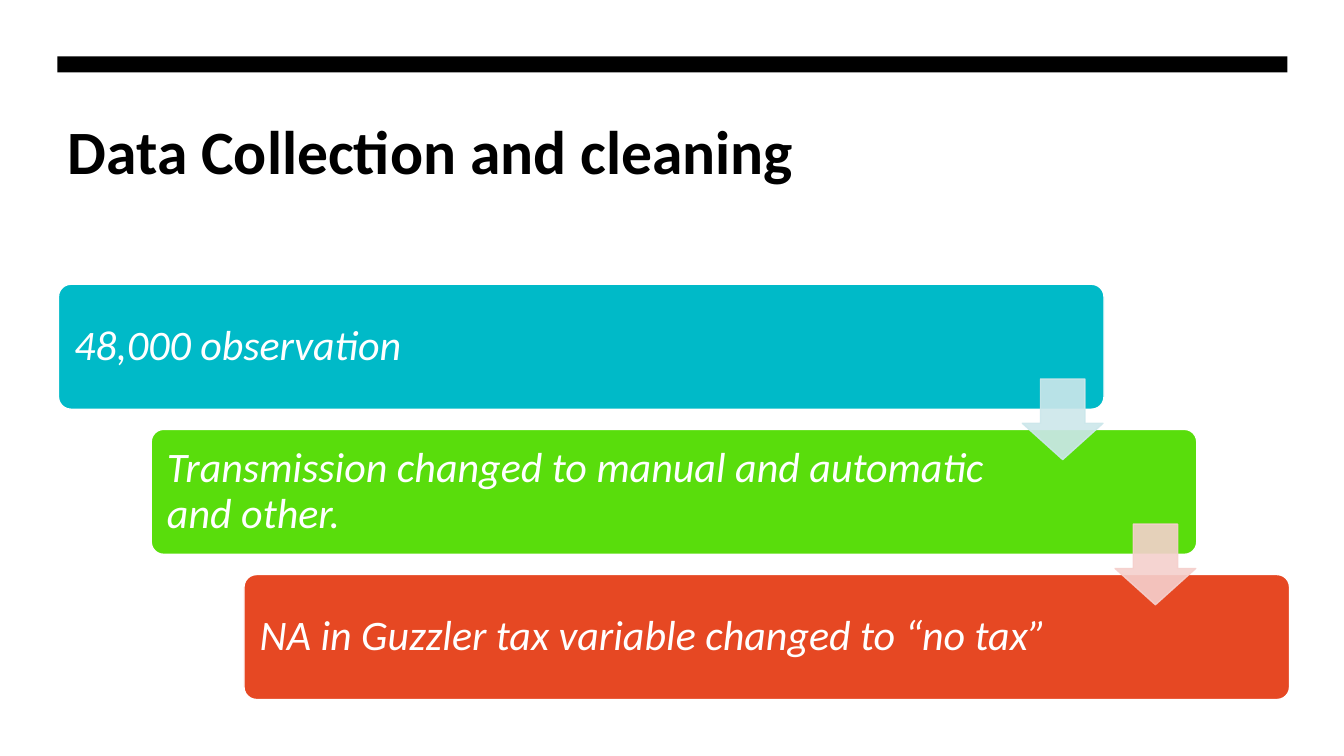
"""Build the data collection and cleaning slide as a staircase of three steps."""
from dataclasses import dataclass

from lxml.etree import SubElement
from pptx import Presentation
from pptx.dml.color import RGBColor
from pptx.enum.shapes import MSO_SHAPE
from pptx.enum.text import MSO_ANCHOR, PP_ALIGN
from pptx.oxml.ns import qn
from pptx.shapes.autoshape import Shape
from pptx.slide import Slide
from pptx.text.text import TextFrame
from pptx.util import Emu, Pt

EMU_PER_PX = 9144
FONT = "Calibri"
COLOURS = {
    "white": "FFFFFF",
    "black": "000000",
    "teal": "00BAC8",
    "green": "59DD0C",
    "red": "E64823",
    "pale_teal": "CCE7EB",
    "pale_red": "F5D0CD",
}
STEP_RIGHT, STEP_DOWN = 92, 144


@dataclass(frozen=True)
class Box:
    left: int
    top: int
    width: int
    height: int

    def stepped(self, count: int) -> "Box":
        return Box(self.left + count * STEP_RIGHT, self.top + count * STEP_DOWN,
                   self.width, self.height)

    def emu(self) -> tuple[Emu, Emu, Emu, Emu]:
        return px(self.left), px(self.top), px(self.width), px(self.height)


@dataclass(frozen=True)
class Step:
    wording: str
    colour: str


FIRST_STEP = Box(58, 282, 1037, 124)
FIRST_ARROW = Box(1014, 376, 80, 80)
STEPS = (
    Step("48,000 observation", "teal"),
    Step("Transmission changed to manual and automatic and other.", "green"),
    Step("NA in Guzzler tax variable changed to “no tax”", "red"),
)
ARROW_COLOURS = ("pale_teal", "pale_red")


def px(length: int) -> Emu:
    return Emu(length * EMU_PER_PX)


def rgb(name: str) -> RGBColor:
    return RGBColor.from_string(COLOURS[name])


def add_filled(slide: Slide, preset: MSO_SHAPE, box: Box, fill: str,
               outline: str | None = None) -> Shape:
    shape = slide.shapes.add_shape(preset, *box.emu())
    shape.shadow.inherit = False
    shape.fill.solid()
    shape.fill.fore_color.rgb = rgb(fill)
    if outline:
        shape.line.color.rgb = rgb(outline)
        shape.line.width = Pt(1)
    else:
        shape.line.fill.background()
    return shape


def write(frame: TextFrame, wording: str, size: int, colour: str,
          bold: bool = False, italic: bool = False) -> None:
    frame.text = wording
    frame.word_wrap = True
    paragraph = frame.paragraphs[0]
    paragraph.alignment = PP_ALIGN.LEFT
    paragraph.font.name = FONT
    paragraph.font.size = Pt(size)
    paragraph.font.bold = bold
    paragraph.font.italic = italic
    paragraph.font.color.rgb = rgb(colour)


def add_title(slide: Slide) -> None:
    title = slide.shapes.title
    title.left, title.top, title.width, title.height = Box(57, 107, 1220, 160).emu()
    write(title.text_frame, "Data Collection and cleaning", 44, "black", bold=True)
    title.text_frame.vertical_anchor = MSO_ANCHOR.TOP


def add_step(slide: Slide, step: Step, box: Box) -> None:
    bar = add_filled(slide, MSO_SHAPE.ROUNDED_RECTANGLE, box, step.colour, "white")
    bar.adjustments[0] = 0.1
    frame = bar.text_frame
    write(frame, step.wording, 30, "white", italic=True)
    frame.paragraphs[0].line_spacing = 0.9
    frame.vertical_anchor = MSO_ANCHOR.MIDDLE
    frame.margin_left = frame.margin_top = frame.margin_bottom = px(12)
    frame.margin_right = px(183)


def add_arrow(slide: Slide, colour: str, box: Box) -> None:
    arrow = add_filled(slide, MSO_SHAPE.DOWN_ARROW, box, colour, colour)
    arrow.adjustments[0] = 0.55
    arrow.adjustments[1] = 0.45
    for solid_colour in arrow.element.spPr.iter(qn("a:srgbClr")):
        SubElement(solid_colour, qn("a:alpha"), val="90000")


def main() -> None:
    presentation = Presentation()
    presentation.slide_width, presentation.slide_height = px(1333), px(750)
    slide = presentation.slides.add_slide(presentation.slide_layouts[5])
    slide.background.fill.solid()
    slide.background.fill.fore_color.rgb = rgb("white")
    add_title(slide)
    add_filled(slide, MSO_SHAPE.RECTANGLE, Box(57, 56, 1220, 16), "black")
    for index, step in enumerate(STEPS):
        add_step(slide, step, FIRST_STEP.stepped(index))
    for index, colour in enumerate(ARROW_COLOURS):
        add_arrow(slide, colour, FIRST_ARROW.stepped(index))
    presentation.save("out.pptx")


if __name__ == "__main__":
    main()
